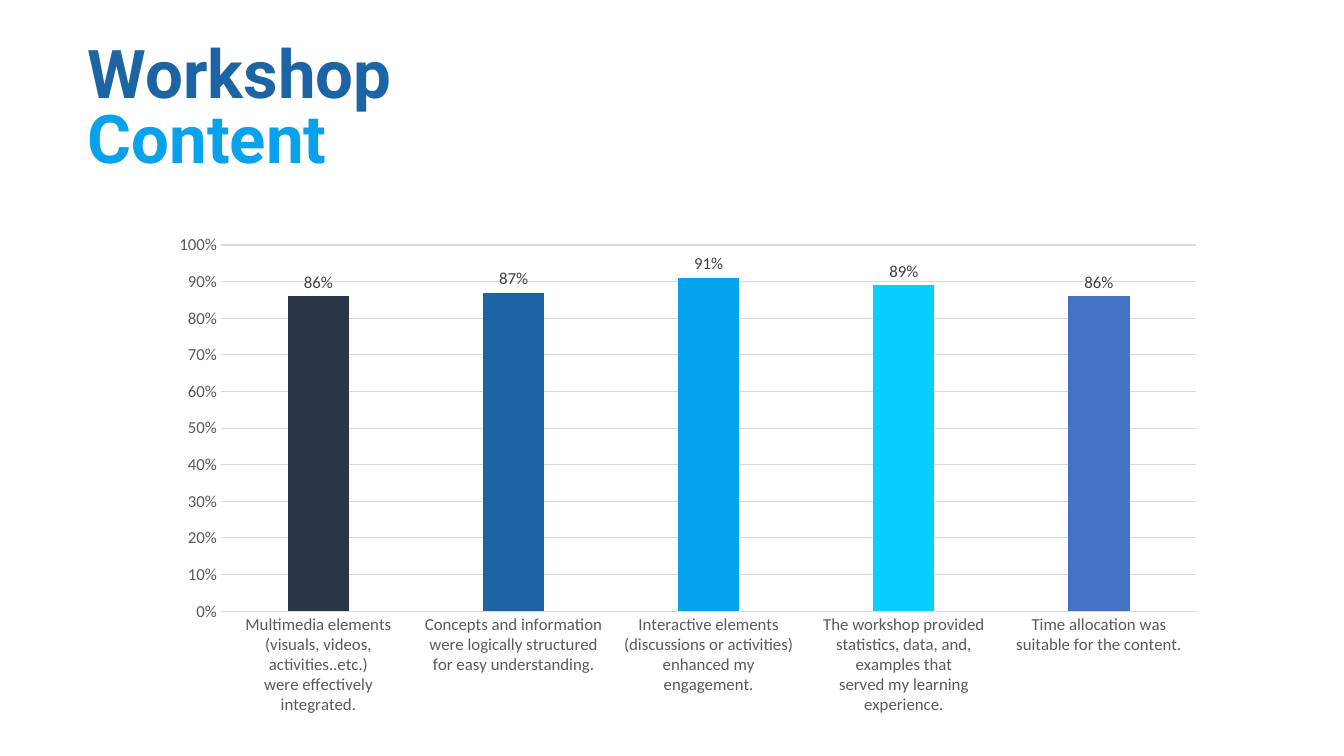
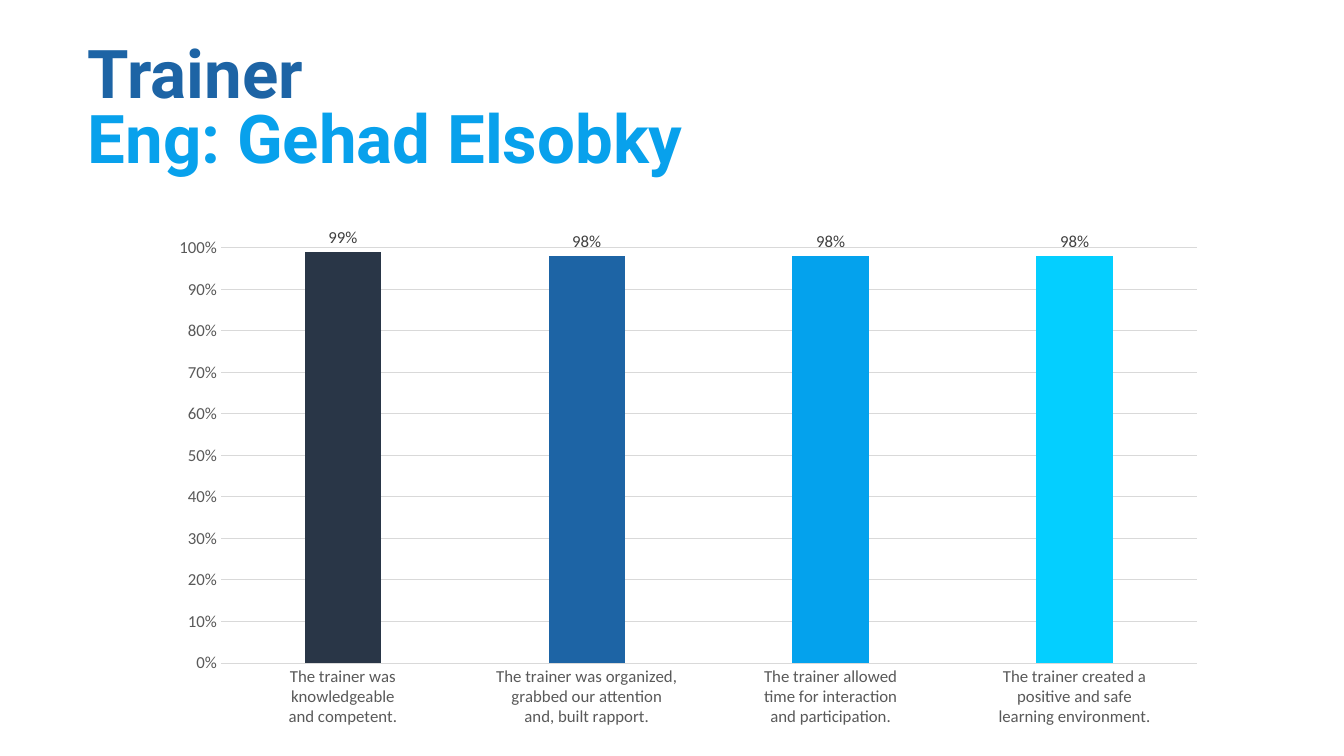
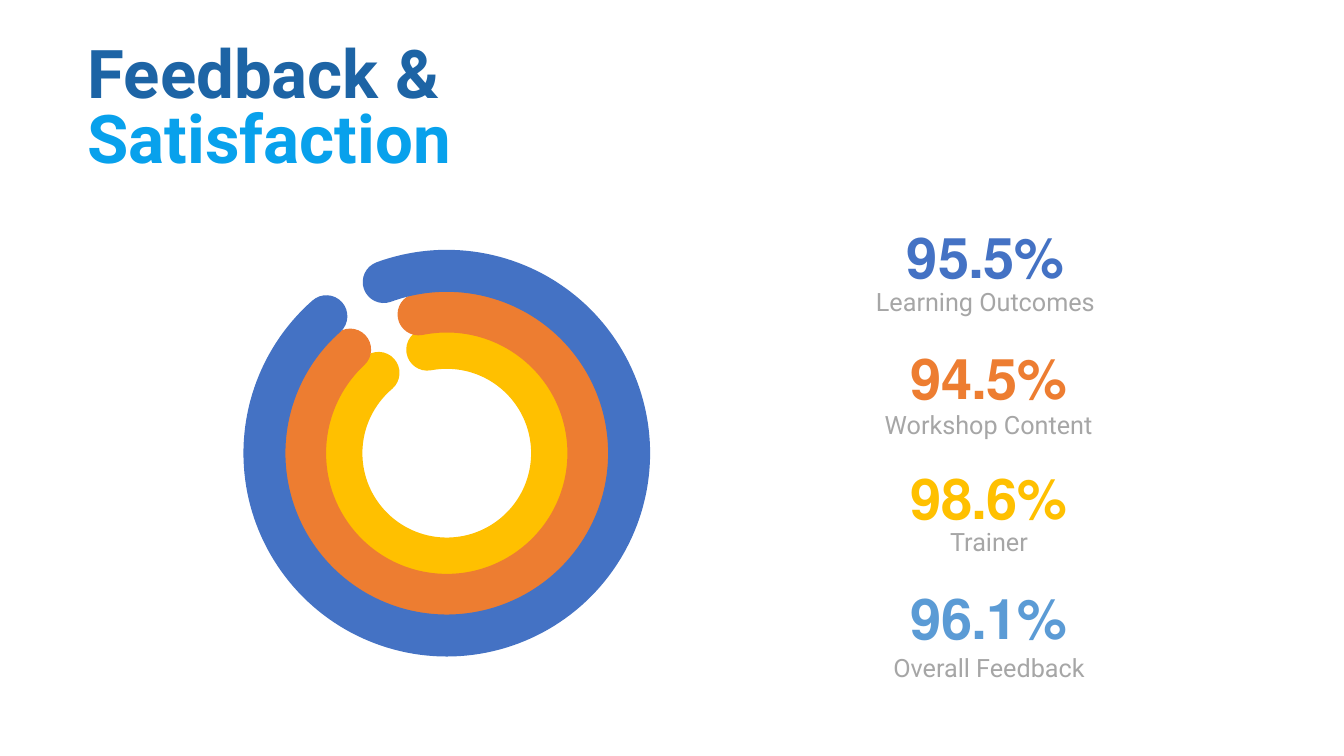
from lxml import etree
from pptx import Presentation
from pptx.chart.data import CategoryChartData
from pptx.dml.color import RGBColor
from pptx.enum.chart import XL_CHART_TYPE, XL_LABEL_POSITION, XL_TICK_MARK
from pptx.enum.shapes import MSO_SHAPE
from pptx.enum.text import MSO_ANCHOR, PP_ALIGN
from pptx.oxml import parse_xml
from pptx.util import Cm, Pt

COLUMN = XL_CHART_TYPE.COLUMN_CLUSTERED
OUTSIDE = XL_LABEL_POSITION.OUTSIDE_END
NO_TICK = XL_TICK_MARK.NONE
ARC = MSO_SHAPE.ARC
TOP = MSO_ANCHOR.TOP
LEFT, CENTER = PP_ALIGN.LEFT, PP_ALIGN.CENTER

HEAD, BODY = "Roboto", "Calibri"
COLORS = {
    "title": "1D64A5", "accent": "08A1EC", "navy": "293647", "sky": "04A2ED",
    "cyan": "04CFFF", "blue": "4472C4", "orange": "ED7D31", "gold": "FFC000",
    "light": "5B9BD5", "label": "A6A6A6", "axis": "595959", "grid": "D9D9D9",
    "value": "404040", "white": "FFFFFF",
}
BARS = ["navy", "title", "sky", "cyan", "blue"]
CHART_NS = "http://schemas.openxmlformats.org/drawingml/2006/chart"
PLOT = {"x": 0.093, "y": 0.038, "w": 0.88, "h": 0.656}


def color(name):
    return RGBColor.from_string(COLORS[name])


class Deck:
    def __init__(self):
        self.prs = Presentation()
        self.prs.slide_width, self.prs.slide_height = Cm(33.87), Cm(19.05)
        self.slide = None

    def page(self, first, second, width=11.79):
        """Start a slide with its two-line title."""
        self.slide = self.prs.slides.add_slide(self.prs.slide_layouts[6])
        fill = self.slide.background.fill
        fill.solid()
        fill.fore_color.rgb = color("white")
        frame = self.text(2.21, 1.19, width, 1.3,
                          [(first, "title"), (second, "accent")],
                          48, bold=True, align=LEFT, space=0.8)
        frame.margin_left = frame.margin_right = 0
        frame.margin_top = frame.margin_bottom = 0

    def font(self, font, size, tone, name=BODY, bold=False):
        font.size, font.name, font.bold = Pt(size), name, bold
        font.color.rgb = color(tone)

    def text(self, x, y, w, h, lines, size, bold=False, align=CENTER, space=None):
        box = self.slide.shapes.add_textbox(Cm(x), Cm(y), Cm(w), Cm(h))
        frame = box.text_frame
        frame.word_wrap = True
        frame.vertical_anchor = TOP
        for i, (line, tone) in enumerate(lines):
            par = frame.add_paragraph() if i else frame.paragraphs[0]
            par.text = line
            par.alignment = align
            par.line_spacing = space
            self.font(par.font, size, tone, HEAD, bold)
        return frame

    def chart(self, height, cats, vals):
        data = CategoryChartData(number_format="0%")
        data.categories = cats
        data.add_series("Series 1", vals)
        chart = self.slide.shapes.add_chart(
            COLUMN, Cm(2.97), Cm(5.64), Cm(27.94), Cm(height), data).chart
        chart.has_title = chart.has_legend = False
        chart.font.size, chart.font.name = Pt(12), BODY

        # Axes
        for axis in (chart.category_axis, chart.value_axis):
            axis.major_tick_mark = axis.minor_tick_mark = NO_TICK
            self.font(axis.tick_labels.font, 12, "axis")
        scale = chart.value_axis
        scale.minimum_scale, scale.maximum_scale, scale.major_unit = 0, 1, 0.1
        scale.tick_labels.number_format = "0%"
        scale.tick_labels.number_format_is_linked = False
        scale.format.line.fill.background()
        for line in (chart.category_axis.format.line,
                     scale.major_gridlines.format.line):
            line.width = Pt(0.75)
            line.color.rgb = color("grid")

        # Bars and their labels
        plot = chart.plots[0]
        plot.gap_width, plot.vary_by_categories = 219, False
        bars = plot.series[0]
        bars.format.fill.solid()
        bars.format.fill.fore_color.rgb = color("blue")
        for i, tone in enumerate(BARS[:len(vals)]):
            fill = bars.points[i].format.fill
            fill.solid()
            fill.fore_color.rgb = color(tone)
        tags = bars.data_labels
        tags.show_value, tags.position = True, OUTSIDE
        tags.number_format, tags.number_format_is_linked = "0%", False
        self.font(tags.font, 12, "value")

        # Fixed inner plot area
        area = chart.element.chart.plotArea
        for old in area.findall(f"{{{CHART_NS}}}layout"):
            area.remove(old)
        parts = '<c:layoutTarget val="inner"/>'
        parts += "".join(f'<c:{k}Mode val="edge"/>' for k in "xy")
        parts += "".join(f'<c:{k} val="{v}"/>' for k, v in PLOT.items())
        area.insert(0, parse_xml(
            f'<c:layout xmlns:c="{CHART_NS}"><c:manualLayout>{parts}'
            '</c:manualLayout></c:layout>'))

    def ring(self, x, y, size, turn, start, end, tone):
        """Draw an open ring around (x, y); angles are in degrees."""
        arc = self.slide.shapes.add_shape(
            ARC, Cm(x - size / 2), Cm(y - size / 2), Cm(size), Cm(size))
        arc.shadow.inherit = False
        arc.rotation = turn
        for i, angle in enumerate((start, end)):
            arc.adjustments[i] = angle * 0.6
        arc.fill.background()
        arc.line.width = Pt(30)
        arc.line.color.rgb = color(tone)
        line = arc.line.fill.fore_color and arc.element.spPr.ln
        line.set("cap", "rnd")
        etree.SubElement(line, line.tag.replace("}ln", "}round"))

    def stat(self, x, y, drop, value, label, tone):
        frame = self.text(x, y, 6.85, 1.93, [(value, tone)], 40, bold=True)
        frame.paragraphs[0]._p.get_or_add_pPr().set("rtl", "1")
        self.text(x, y + drop, 6.85, 1.02, [(label, "label")], 18)


def main():
    deck = Deck()

    # Workshop content
    deck.page("Workshop", "Content")
    deck.chart(14.07, [
        "Multimedia elements\n(visuals, videos, activities..etc.)\n"
        "were effectively integrated.",
        "Concepts and information\nwere logically structured\n"
        "for easy understanding.",
        "Interactive elements\n(discussions or activities)\n"
        "enhanced my engagement.",
        "The workshop provided\nstatistics, data, and,\nexamples that\n"
        "served my learning experience.",
        "Time allocation was\nsuitable for the content.",
    ], [0.86, 0.87, 0.91, 0.89, 0.86])

    # Trainer
    deck.page("Trainer", "Eng: Gehad Elsobky", 19.63)
    deck.chart(15.95, [
        "The trainer was\nknowledgeable\nand competent.",
        "The trainer was organized,\ngrabbed our attention\nand, built rapport.",
        "The trainer allowed\ntime for interaction\nand participation.",
        "The trainer created a\npositive and safe\nlearning environment.",
    ], [0.99, 0.98, 0.98, 0.98])

    # Feedback: rings from the inside out, then the scores
    deck.page("Feedback &", "Satisfaction")
    for size, turn, start, end, tone in [
        (5.31, 354.7, 264.63, 234.94, "gold"),
        (7.14, 352.4, 266.11, 234.59, "orange"),
        (9.19, 0, 249.77, 228.68, "blue"),
    ]:
        deck.ring(11.26, 11.42, size, turn, start, end, tone)
    for i, (x, drop, value, label, tone) in enumerate([
        (21.41, 1.6, "95.5%", "Learning Outcomes", "blue"),
        (21.49, 1.68, "94.5%", "Workshop Content", "orange"),
        (21.5, 1.6, "98.6%", "Trainer", "gold"),
        (21.5, 1.73, "96.1%", "Overall Feedback", "light"),
    ]):
        deck.stat(x, 5.49 + i * 3.03, drop, value, label, tone)

    deck.prs.save("out.pptx")


if __name__ == "__main__":
    main()
